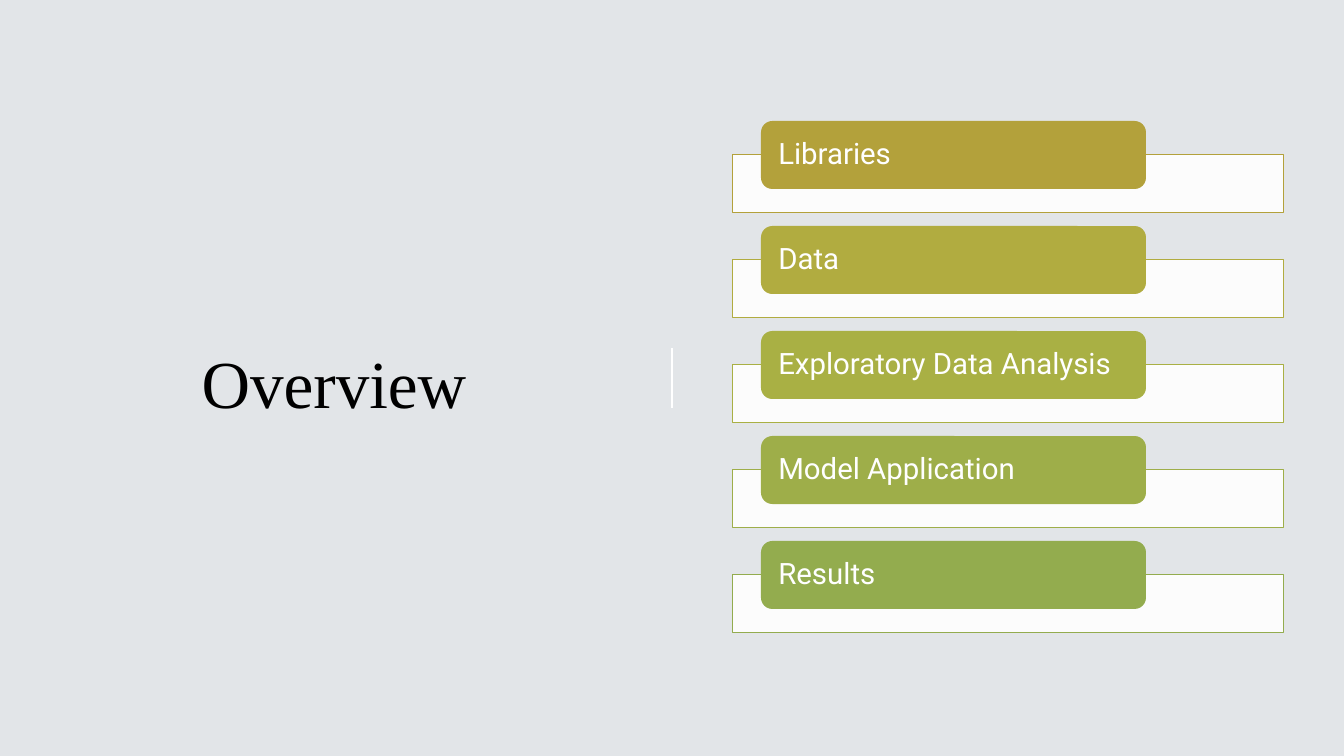
from lxml import etree
from pptx import Presentation
from pptx import util as u
from pptx.dml.color import RGBColor
from pptx.enum import shapes, text
from pptx.oxml.ns import qn

SCALE = 12192000 / 1344
COLORS = {"background": "E2E5E8", "white": "FFFFFF", "black": "000000"}
TOPICS = {
    "Libraries": "B3A13B",
    "Data": "B1AC40",
    "Exploratory Data Analysis": "A9B044",
    "Model Application": "9EAE49",
    "Results": "93AC4E",
}
TOP, PITCH = 121, 105


def px(*lengths):
    """Turn pixel lengths into EMU."""
    return [u.Emu(round(n * SCALE)) for n in lengths]


def rgb(value):
    """Turn a hex string into a colour."""
    return RGBColor.from_string(value)


def style_paragraph(p, font, size, color, align, spacing):
    """Set the font and layout of a paragraph."""
    p.font.name, p.font.size = font, u.Pt(size)
    p.font.color.rgb = rgb(color)
    p.alignment, p.line_spacing = align, spacing


def add_title(s, title):
    """Add the centred slide title."""
    tf = s.shapes.add_textbox(*px(119, 119, 430, 517)).text_frame
    tf.word_wrap = True
    tf.vertical_anchor = text.MSO_ANCHOR.MIDDLE
    tf.text = title
    style_paragraph(tf.paragraphs[0], "Times New Roman", 48,
                    COLORS["black"], text.PP_ALIGN.CENTER, 1.1)


def add_divider(s):
    """Add the short vertical line between title and topics."""
    line = s.shapes.add_connector(
        shapes.MSO_CONNECTOR.STRAIGHT, *px(672, 348, 672, 408))
    line.line.color.rgb = rgb(COLORS["white"])
    line.line.width = u.Pt(1)
    etree.SubElement(line._element.spPr, qn("a:effectLst"))


def add_box(s, kind, bounds, fill):
    """Add a filled shape without shadow."""
    sp = s.shapes.add_shape(kind, *px(*bounds))
    sp.shadow.inherit = False
    sp.fill.solid()
    sp.fill.fore_color.rgb = rgb(fill)
    return sp


def add_panel(s, top, color):
    """Add the translucent outlined panel behind a topic."""
    sp = add_box(s, shapes.MSO_SHAPE.RECTANGLE, (733, top, 551, 58),
                 COLORS["white"])
    sp.line.color.rgb = rgb(color)
    sp.line.width = u.Pt(0.75)
    fill = sp._element.spPr.find(qn("a:solidFill"))
    etree.SubElement(fill[0], qn("a:alpha"), val="90000")


def add_topic(s, top, label, color):
    """Add a rounded topic label."""
    sp = add_box(s, shapes.MSO_SHAPE.ROUNDED_RECTANGLE,
                 (761, top, 385, 68), color)
    sp.line.fill.background()
    tf = sp.text_frame
    tf.margin_left, tf.margin_top, tf.margin_right, tf.margin_bottom = px(
        14, 0, 14, 0)
    tf.word_wrap = True
    tf.vertical_anchor = text.MSO_ANCHOR.MIDDLE
    tf.text = label
    style_paragraph(tf.paragraphs[0], "Roboto", 21, COLORS["white"],
                    text.PP_ALIGN.LEFT, 0.9)


def main():
    """Build and save the overview slide."""
    prs = Presentation()
    prs.slide_width, prs.slide_height = px(1344, 756)
    s = prs.slides.add_slide(prs.slide_layouts[6])
    s.background.fill.solid()
    s.background.fill.fore_color.rgb = rgb(COLORS["background"])
    add_title(s, "Overview")
    add_divider(s)
    for i, (label, color) in enumerate(TOPICS.items()):
        top = TOP + i * PITCH
        add_panel(s, top + 34, color)
        add_topic(s, top, label, color)
    prs.save("out.pptx")


if __name__ == "__main__":
    main()
